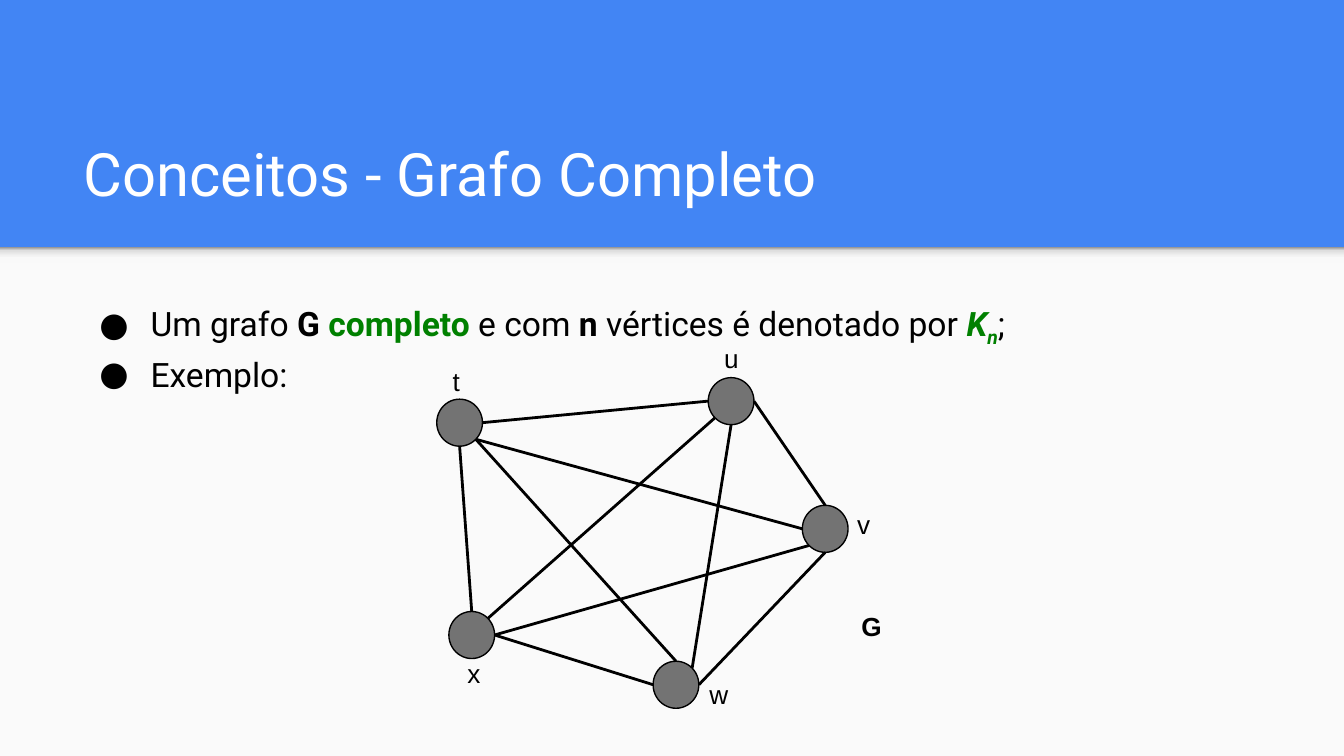
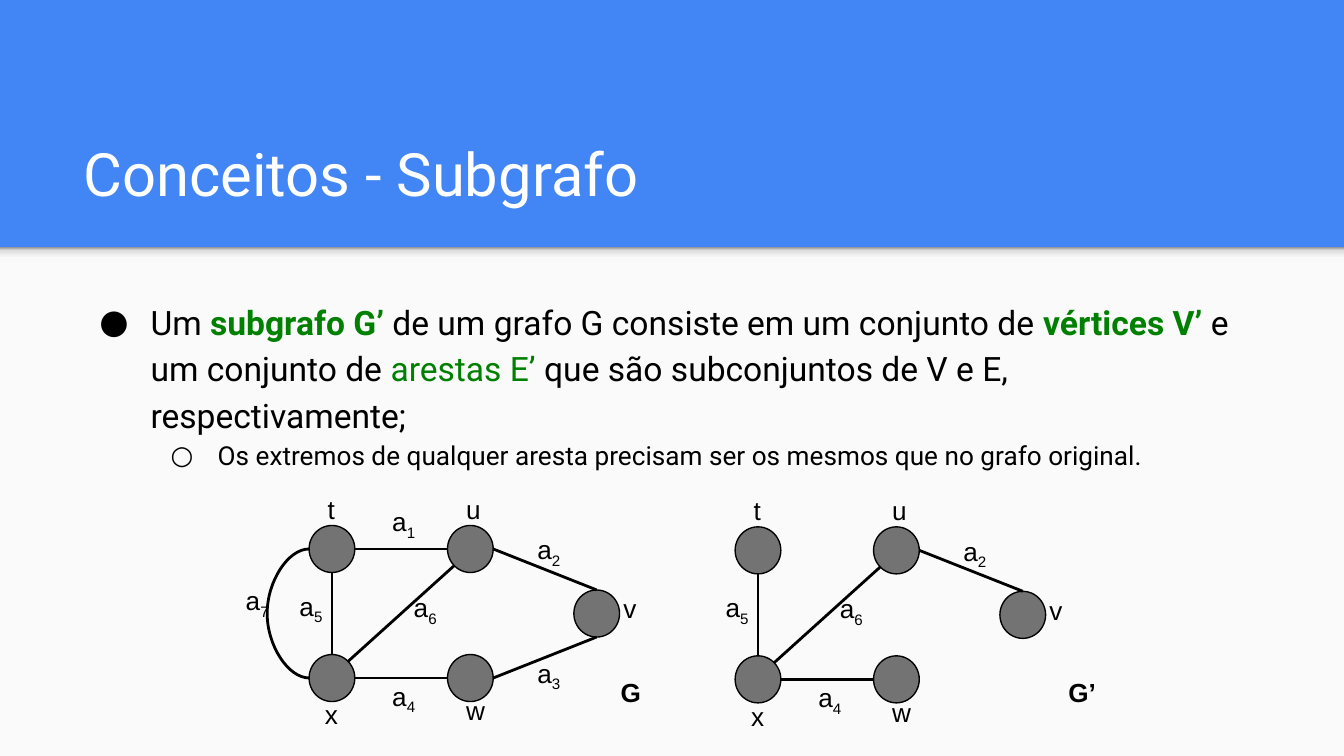
"""Builds two slides on graph concepts: complete graphs and subgraphs."""
from dataclasses import dataclass
from lxml import etree
from pptx import Presentation
from pptx.dml.color import RGBColor
from pptx.enum.shapes import MSO_CONNECTOR, MSO_SHAPE
from pptx.enum.text import MSO_ANCHOR, MSO_AUTO_SIZE, PP_ALIGN
from pptx.oxml import parse_xml
from pptx.oxml.ns import nsdecls, qn
from pptx.util import Inches, Pt

RECT, ELLIPSE = MSO_SHAPE.RECTANGLE, MSO_SHAPE.OVAL
STRAIGHT, CURVE = MSO_CONNECTOR.STRAIGHT, MSO_CONNECTOR.CURVE
BOTTOM, TOP, LEFT = MSO_ANCHOR.BOTTOM, MSO_ANCHOR.TOP, PP_ALIGN.LEFT
NO_FIT = MSO_AUTO_SIZE.NONE


@dataclass(frozen=True)
class Theme:
    """Colours, fonts and type sizes."""
    blue: str = "4285F4"
    panel: str = "FAFAFA"
    white: str = "FFFFFF"
    ink: str = "000000"
    green: str = "008000"
    vertex: str = "737373"
    shadow: tuple = ((0, "F9F9F9"), (36, "F9F9F9"), (80, "DEDEDE"), (100, "999999"))
    text_font: str = "Roboto"
    label_font: str = "Arial"
    title: int = 32
    body: int = 18
    small: int = 14
    outline: float = 0.75
    edge: float = 1.5


THEME = Theme()
BAND_H = 1.84
MARGIN, TEXT_W, INSET = 0.52, 8.99, 0.1
LEVELS = [("●", 0.5, -0.38, THEME.body), ("○", 1, -0.35, THEME.small)]
VERTEX_W, VERTEX_H, LABEL_H = 0.34, 0.35, 0.35
DIAGONAL = 0.5 ** 0.5
SITES = {"n": (0, -1), "s": (0, 1), "e": (1, 0), "w": (-1, 0),
         "ne": (DIAGONAL, -DIAGONAL), "se": (DIAGONAL, DIAGONAL),
         "sw": (-DIAGONAL, DIAGONAL)}
LOOP_SPAN, LOOP_BULGE = 600, 0.26

COMPLETE = {
    "vertices": {"t": (3.25, 2.97), "u": (5.27, 2.81), "x": (3.34, 4.55),
                 "w": (4.86, 4.92), "v": (5.97, 3.76)},
    "edges": ["t.s x.n", "t.e u.w", "u.e v.n", "x.e w.w", "w.e v.s",
              "x.ne u.sw", "t.se v.w", "t.se w.n", "u.s w.ne", "x.e v.sw"],
    "labels": {"t": (3.27, 2.62), "u": (5.29, 2.45), "x": (3.38, 4.79),
               "v": (6.28, 3.68), "w": (5.18, 4.95)},
    "label_w": 0.47,
    "name": ("G", 6.31, 4.44),
}
GRAPH = {
    "vertices": {"t": (2.3, 3.91), "u": (3.33, 3.91), "x": (2.3, 4.87),
                 "w": (3.33, 4.87), "v": (4.27, 4.39)},
    "edges": ["t.s x.n a5", "t.e u.w a1", "u.e v.n a2", "x.e w.w a4",
              "w.e v.s a3", "x.ne u.sw a6"],
    "loop": "t.w x.w a7",
    "labels": {"t": (2.34, 3.57), "u": (3.37, 3.57), "x": (2.32, 5.1),
               "w": (3.37, 5.07), "v": (4.54, 4.31), "a1": (2.82, 3.66),
               "a2": (3.9, 3.87), "a3": (3.9, 4.79), "a4": (2.82, 4.96),
               "a5": (2.13, 4.29), "a6": (2.98, 4.3), "a7": (1.73, 4.25)},
    "label_w": 0.34,
    "name": ("G", 4.52, 4.93),
}


def subgraph(graph, dropped, name, dx, dy):
    """Return a shifted graph without the dropped edges and their labels."""
    def shift(places):
        return {k: (x + dx, y + dy) for k, (x, y) in places.items() if k not in dropped}
    return {"vertices": shift(graph["vertices"]),
            "edges": [e for e in graph["edges"] if e.split()[2] not in dropped],
            "labels": shift(graph["labels"]),
            "label_w": graph["label_w"], "name": name}


SLIDES = [
    {"title": "Conceitos - Grafo Completo", "body_h": 0.59,
     "body": [(0, [("Um grafo ", ""), ("G ", "b"), ("completo", "bg"),
                   (" e com ", ""), ("n", "b"), (" vértices é denotado por ", ""),
                   ("K", "big"), ("n", "bigs"), (";", "")]),
              (0, [("Exemplo:", "")])],
     "graphs": [COMPLETE]},
    {"title": "Conceitos - Subgrafo", "body_h": 1.48,
     "body": [(0, [("Um ", ""), ("subgrafo G’", "bg"),
                   (" de um grafo G consiste em um conjunto de ", ""),
                   ("vértices V’", "bg"), (" e um conjunto de ", ""),
                   ("arestas E’", "g"),
                   (" que são subconjuntos de V e E, respectivamente;", "")]),
              (1, [("Os extremos de qualquer aresta precisam ser os mesmos "
                    "que no grafo original.", "")])],
     "graphs": [GRAPH, subgraph(GRAPH, ("a1", "a3", "a7"), ("G’", 7.85, 4.93), 3.17, 0.01)]},
]


def rgb(colour):
    """Return a colour from its hex digits."""
    return RGBColor.from_string(colour)


def place(sp, x, y, w, h):
    """Move and size a shape in inches."""
    sp.left, sp.top, sp.width, sp.height = (Inches(n) for n in (x, y, w, h))


def set_frame(tf, anchor=TOP):
    """Give a text frame its insets, wrap and anchor."""
    tf.margin_left = tf.margin_right = tf.margin_top = tf.margin_bottom = Inches(INSET)
    tf.word_wrap, tf.auto_size, tf.vertical_anchor = True, NO_FIT, anchor


def add_runs(p, runs, font, size, colour=THEME.ink):
    """Add runs flagged b (bold), i (italic), g (green) or s (subscript)."""
    for text, flags in runs:
        r = p.add_run()
        r.text = text
        r.font.name, r.font.size = font, Pt(size)
        r.font.bold, r.font.italic = "b" in flags, "i" in flags
        r.font.color.rgb = rgb(THEME.green if "g" in flags else colour)
        if "s" in flags:
            r.font._element.set("baseline", "-25000")


def add_box(shapes, kind, box, fill):
    """Add a filled shape without outline or shadow."""
    sp = shapes.add_shape(kind, *(Inches(n) for n in box))
    sp.shadow.inherit = False
    sp.fill.solid()
    sp.fill.fore_color.rgb = rgb(fill)
    sp.line.fill.background()
    return sp


def add_backdrop(prs, layout, slide):
    """Put the blue background, the panel and its shadow on the layout."""
    fill = prs.slide_master.background.fill
    fill.solid()
    fill.fore_color.rgb = rgb(THEME.blue)
    w, h = prs.slide_width.inches, prs.slide_height.inches
    panel = add_box(slide.shapes, RECT, (0, BAND_H, w, h - BAND_H), THEME.panel)
    shade = add_box(slide.shapes, RECT, (0, BAND_H, w, 0.12), THEME.panel)
    stops = "".join(f'<a:gs pos="{pos * 1000}"><a:srgbClr val="{colour}"/></a:gs>'
                    for pos, colour in THEME.shadow)
    solid = shade._element.spPr.find(qn("a:solidFill"))
    solid.getparent().replace(solid, parse_xml(
        f'<a:gradFill {nsdecls("a")}><a:gsLst>{stops}</a:gsLst>'
        '<a:lin ang="16200000" scaled="0"/></a:gradFill>'))
    for i, sp in enumerate((panel, shade)):
        layout.shapes._spTree.insert(2 + i, sp._element)


def add_title(slide, text):
    """Fill the title placeholder."""
    sp = slide.shapes.title
    place(sp, MARGIN, 0.81, TEXT_W, 0.84)
    set_frame(sp.text_frame, BOTTOM)
    p = sp.text_frame.paragraphs[0]
    p.alignment = LEFT
    add_runs(p, [(text, "")], THEME.text_font, THEME.title, THEME.white)


def add_bullets(slide, items, height):
    """Fill the body placeholder with bulleted paragraphs."""
    sp = slide.placeholders[1]
    place(sp, MARGIN, 2.1, TEXT_W, height)
    tf = sp.text_frame
    set_frame(tf)
    for i, (level, runs) in enumerate(items):
        p = tf.add_paragraph() if i else tf.paragraphs[0]
        char, left, indent, size = LEVELS[level]
        pPr = p._p.get_or_add_pPr()
        pPr.set("marL", str(Inches(left)))
        pPr.set("indent", str(Inches(indent)))
        colour = etree.SubElement(pPr, qn("a:buClr"))
        etree.SubElement(colour, qn("a:srgbClr"), val=THEME.ink)
        etree.SubElement(pPr, qn("a:buFont"), typeface=THEME.text_font)
        etree.SubElement(pPr, qn("a:buChar"), char=char)
        p.level, p.line_spacing, p.space_before = level, 1.15, Pt(0)
        add_runs(p, runs, THEME.text_font, size)


def add_label(shapes, x, y, w, runs):
    """Add a small label with its top left corner at x, y."""
    sp = shapes.add_textbox(*(Inches(n) for n in (x, y, w, LABEL_H)))
    set_frame(sp.text_frame)
    add_runs(sp.text_frame.paragraphs[0], runs, THEME.label_font, THEME.small)


def site(graph, end):
    """Return the point of a vertex named like t.se."""
    vertex, side = end.split(".")
    (x, y), (dx, dy) = graph["vertices"][vertex], SITES[side]
    return Inches(x + VERTEX_W / 2 * (1 + dx)), Inches(y + VERTEX_H / 2 * (1 + dy))


def add_edge(shapes, kind, start, end):
    """Add a connector between two points."""
    cxn = shapes.add_connector(kind, *start, *end)
    cxn.line.width = Pt(THEME.edge)
    cxn.line.color.rgb = rgb(THEME.ink)
    etree.SubElement(cxn._element.spPr, qn("a:effectLst"))
    return cxn


def add_loop(shapes, start, end):
    """Add a curved edge that bulges to the left."""
    cxn = add_edge(shapes, CURVE, start, (end[0] + LOOP_SPAN, end[1]))
    bulge = -round(Inches(LOOP_BULGE) / LOOP_SPAN * 100000)
    guides = cxn._element.spPr.find(qn("a:prstGeom")).find(qn("a:avLst"))
    etree.SubElement(guides, qn("a:gd"), name="adj1", fmla=f"val {bulge}")


def add_graph(slide, graph):
    """Draw a graph as one group of vertices, edges and labels."""
    shapes = slide.shapes.add_group_shape().shapes
    for x, y in graph["vertices"].values():
        sp = add_box(shapes, ELLIPSE, (x, y, VERTEX_W, VERTEX_H), THEME.vertex)
        sp.line.color.rgb = rgb(THEME.ink)
        sp.line.width = Pt(THEME.outline)
    for edge in graph["edges"]:
        add_edge(shapes, STRAIGHT, *(site(graph, end) for end in edge.split()[:2]))
    if "loop" in graph:
        add_loop(shapes, *(site(graph, end) for end in graph["loop"].split()[:2]))
    for text, (x, y) in graph["labels"].items():
        runs = [(text[0], "")] + [(digit, "s") for digit in text[1:]]
        add_label(shapes, x, y, 0.42 if text[1:] else graph["label_w"], runs)
    name, x, y = graph["name"]
    add_label(shapes, x, y, 0.42, [(name, "b")])


def main():
    """Build and save the slides."""
    prs = Presentation()
    prs.slide_width, prs.slide_height = Inches(10), Inches(10) * 9 // 16
    layout = prs.slide_layouts[1]
    for i, content in enumerate(SLIDES):
        slide = prs.slides.add_slide(layout)
        if i == 0:
            add_backdrop(prs, layout, slide)
        add_title(slide, content["title"])
        add_bullets(slide, content["body"], content["body_h"])
        for graph in content["graphs"]:
            add_graph(slide, graph)
    prs.save("out.pptx")


if __name__ == "__main__":
    main()
